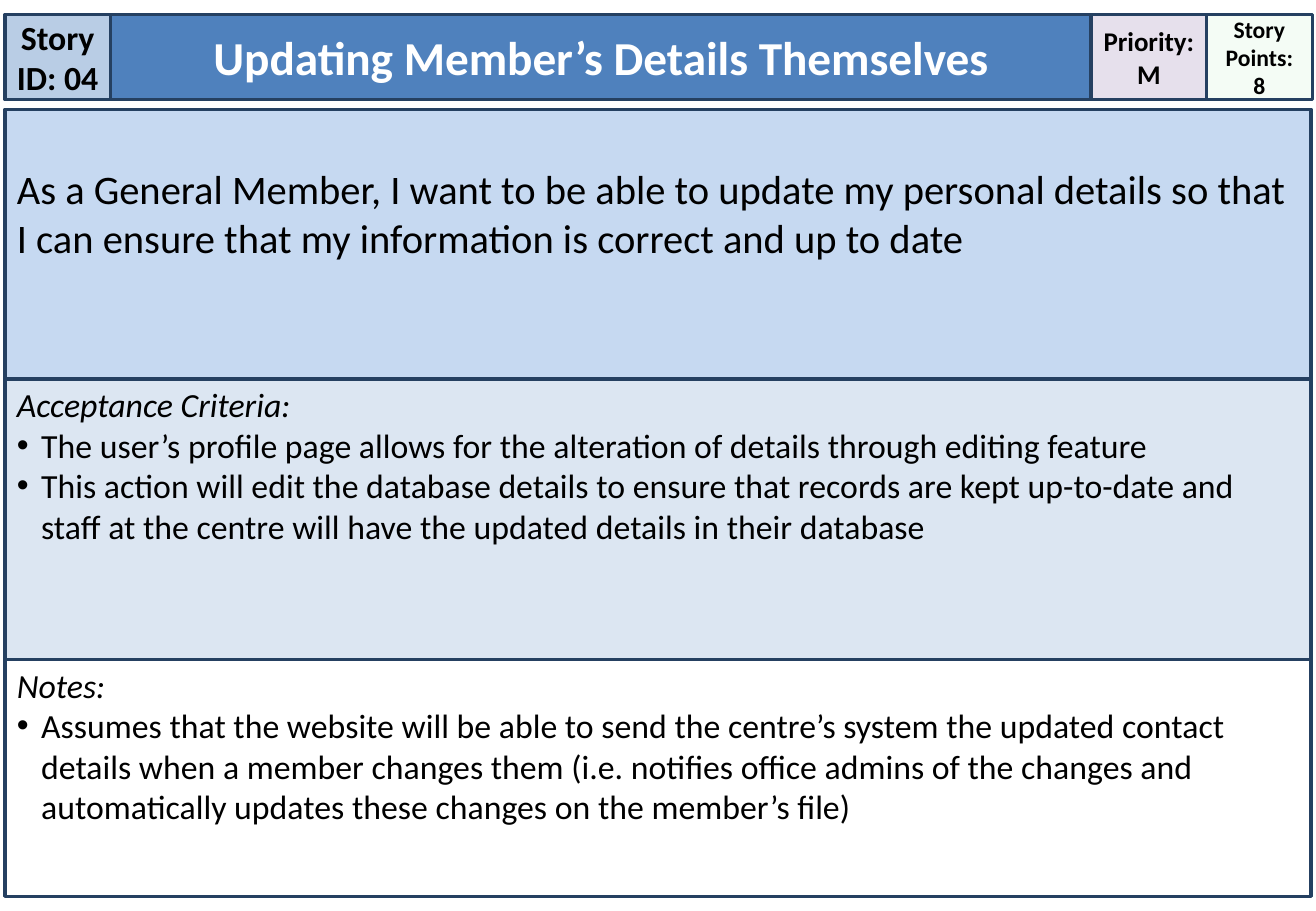
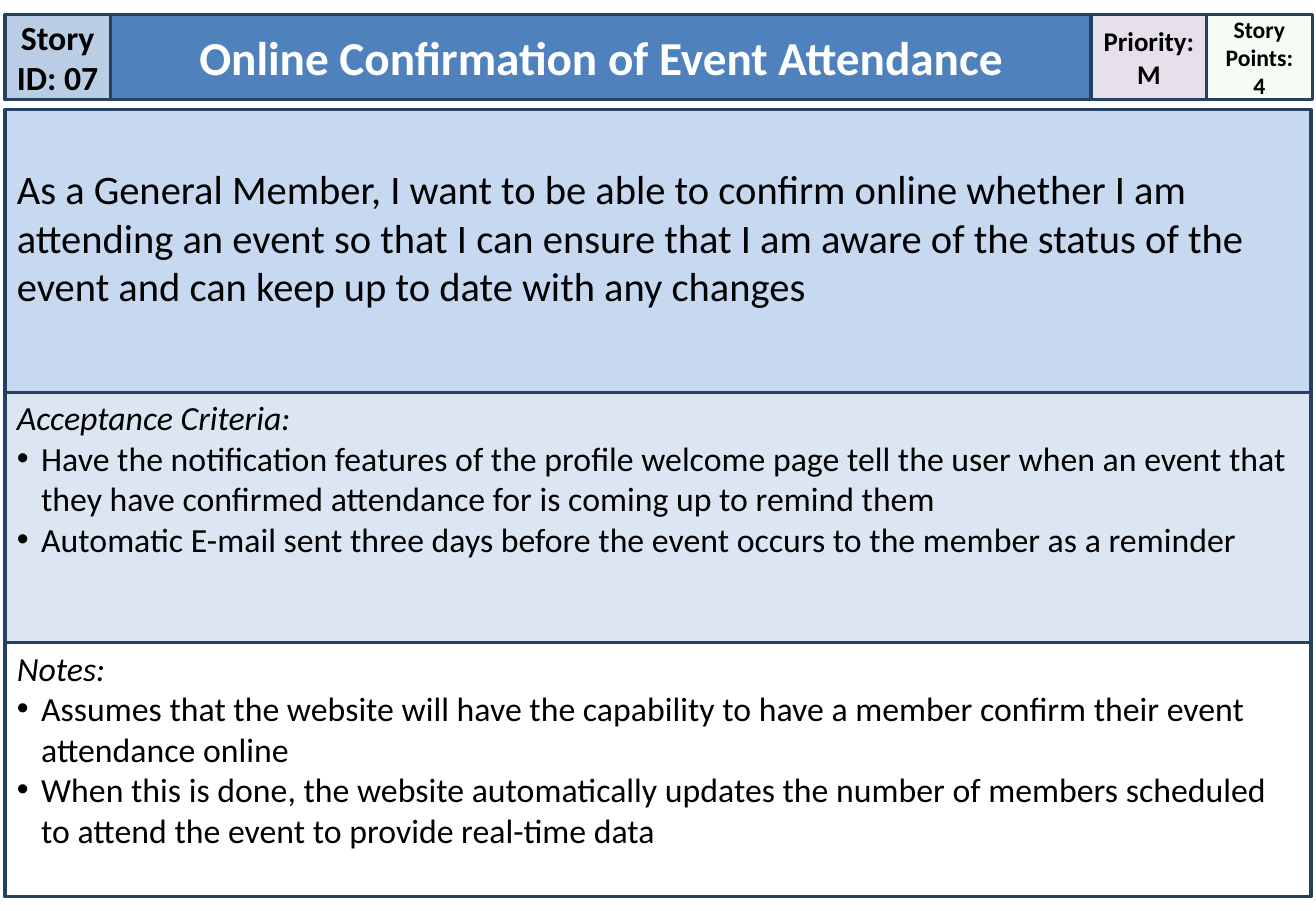
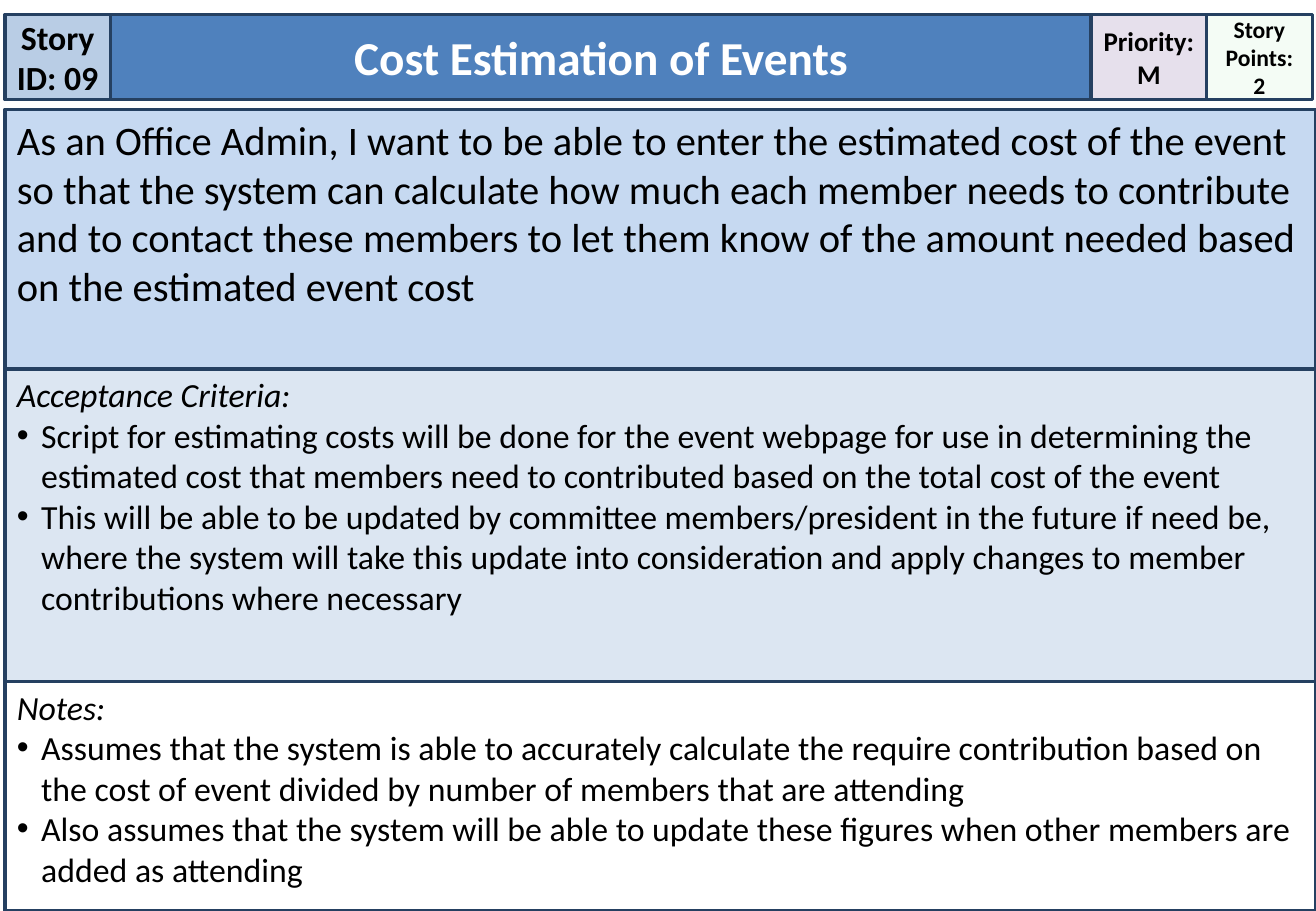
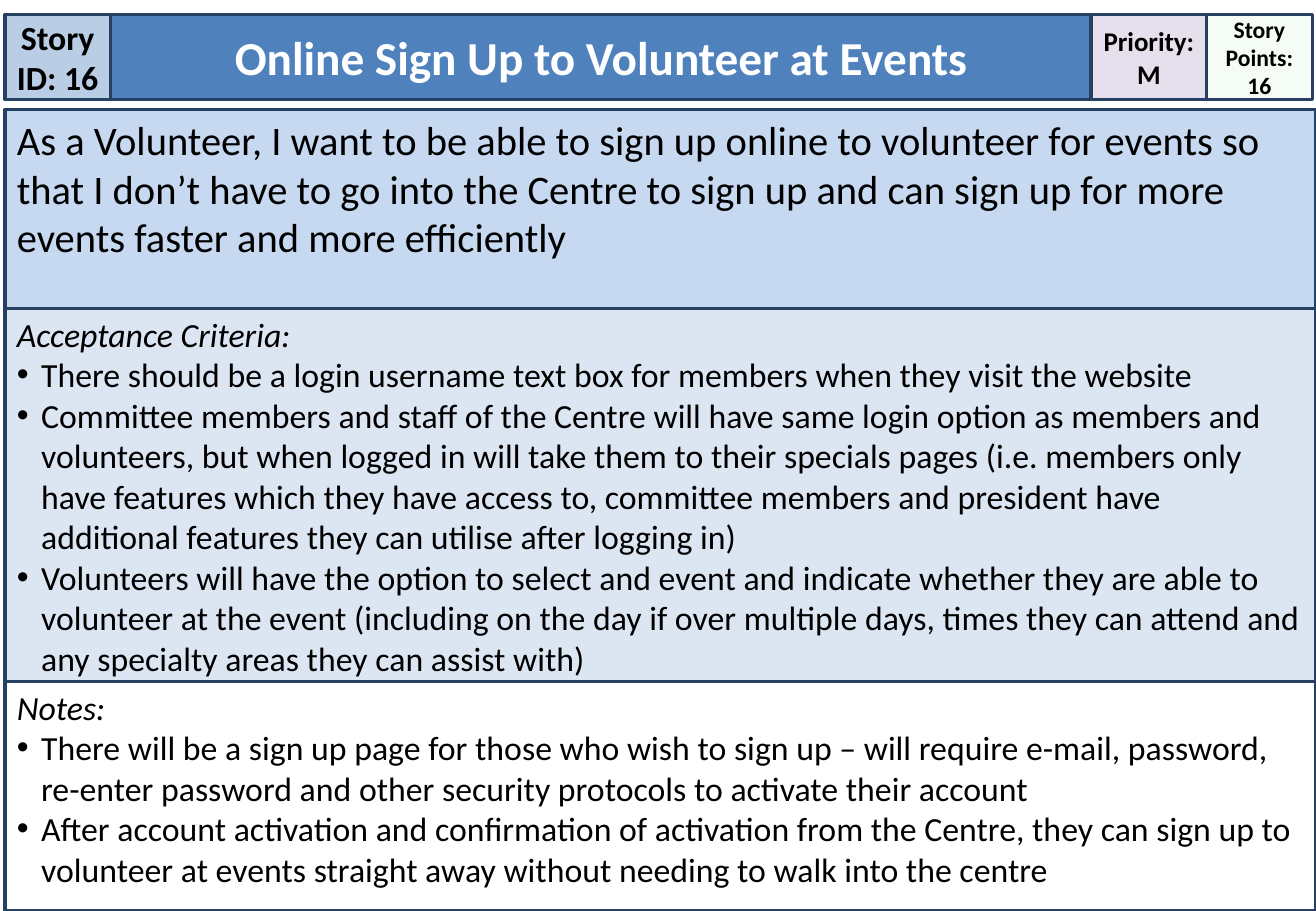
import dataclasses

import pptx
import pptx.dml.color
import pptx.enum.shapes
import pptx.enum.text
import pptx.oxml.ns
import pptx.util
from lxml import etree

Inches = pptx.util.Inches
Pt = pptx.util.Pt
RGBColor = pptx.dml.color.RGBColor
Align = pptx.enum.text.PP_ALIGN
Anchor = pptx.enum.text.MSO_ANCHOR
qn = pptx.oxml.ns.qn


@dataclasses.dataclass(frozen=True)
class Theme:
    font: str = "Calibri"
    text: str = "000000"
    title_text: str = "FFFFFF"
    outline: str = "254061"
    story_id: str = "B9CDE5"
    title: str = "4F81BD"
    priority: str = "E6E0EC"
    points: str = "CCF0CD"
    story: str = "C6D9F1"
    criteria: str = "DCE6F2"
    notes: str = "FFFFFF"
    title_size: int = 28
    story_size: int = 24
    body_size: int = 20
    priority_size: int = 16
    points_size: int = 14
    outline_width: int = 2
    points_opacity: int = 20


theme = Theme()

LEFT = 0.04
HEADER_EDGES = [LEFT, 0.91, 8.98, 9.93, 10.8]
HEADER_TOP, HEADER_HEIGHT = 0.12, 0.7
LABEL_INSETS = (0, 0.05, 0, 0.05)
TEXT_INSETS = (0.1, 0.05, 0.1, 0.05)
LOWERED_INSETS = (0.1, 0.45, 0.1, 0.05)
LIST_INSETS = (0.1, 0.04, 0.1, 0.05)
BULLET_INDENT = Inches(0.2)

stories = [
    {
        "id": "04",
        "title": "Updating Member’s Details Themselves",
        "points": "8",
        "right": 10.79,
        "edges": [0.9, 3.12, 5.43, 7.38],
        "story_insets": LOWERED_INSETS,
        "story": "As a General Member, I want to be able to update my personal details so that "
                 "I can ensure that my information is correct and up to date",
        "criteria": [
            "The user’s profile page allows for the alteration of details through editing feature",
            "This action will edit the database details to ensure that records are kept up-to-date "
            "and staff at the centre will have the updated details in their database",
        ],
        "notes": [
            "Assumes that the website will be able to send the centre’s system the updated contact "
            "details when a member changes them (i.e. notifies office admins of the changes and "
            "automatically updates these changes on the member’s file)",
        ],
    },
    {
        "id": "07",
        "title": "Online Confirmation of Event Attendance",
        "points": "4",
        "right": 10.79,
        "edges": [0.9, 3.23, 5.29, 7.38],
        "story_insets": LOWERED_INSETS,
        "story": "As a General Member, I want to be able to confirm online whether I am attending "
                 "an event so that I can ensure that I am aware of the status of the event and can "
                 "keep up to date with any changes",
        "criteria": [
            "Have the notification features of the profile welcome page tell the user when an event "
            "that they have confirmed attendance for is coming up to remind them",
            "Automatic E-mail sent three days before the event occurs to the member as a reminder",
        ],
        "notes": [
            "Assumes that the website will have the capability to have a member confirm their event "
            "attendance online",
            "When this is done, the website automatically updates the number of members scheduled "
            "to attend the event to provide real-time data",
        ],
    },
    {
        "id": "09",
        "title": "Cost Estimation of Events",
        "points": "2",
        "right": 10.83,
        "edges": [0.9, 3.04, 5.61, 7.5],
        "story_insets": TEXT_INSETS,
        "story": "As an Office Admin, I want to be able to enter the estimated cost of the event so "
                 "that the system can calculate how much each member needs to contribute and to "
                 "contact these members to let them know of the amount needed based on the "
                 "estimated event cost",
        "criteria": [
            "Script for estimating costs will be done for the event webpage for use in determining "
            "the estimated cost that members need to contributed based on the total cost of the event",
            "This will be able to be updated by committee members/president in the future if need "
            "be, where the system will take this update into consideration and apply changes to "
            "member contributions where necessary",
        ],
        "notes": [
            "Assumes that the system is able to accurately calculate the require contribution based "
            "on the cost of event divided by number of members that are attending",
            "Also assumes that the system will be able to update these figures when other members "
            "are added as attending",
        ],
    },
    {
        "id": "16",
        "title": "Online Sign Up to Volunteer at Events",
        "points": "16",
        "right": 10.83,
        "edges": [0.9, 2.54, 5.61, 7.5],
        "story_insets": TEXT_INSETS,
        "story": "As a Volunteer, I want to be able to sign up online to volunteer for events so "
                 "that I don’t have to go into the Centre to sign up and can sign up for more "
                 "events faster and more efficiently",
        "criteria": [
            "There should be a login username text box for members when they visit the website",
            "Committee members and staff of the Centre will have same login option as members and "
            "volunteers, but when logged in will take them to their specials pages (i.e. members "
            "only have features which they have access to, committee members and president have "
            "additional features they can utilise after logging in)",
            "Volunteers will have the option to select and event and indicate whether they are able "
            "to volunteer at the event (including on the day if over multiple days, times they can "
            "attend and any specialty areas they can assist with)",
        ],
        "notes": [
            "There will be a sign up page for those who wish to sign up – will require e-mail, "
            "password, re-enter password and other security protocols to activate their account",
            "After account activation and confirmation of activation from the Centre, they can sign "
            "up to volunteer at events straight away without needing to walk into the centre",
        ],
    },
]


def format_box(shape, box, fill, insets, anchor, wrap=True):
    left, top, right, bottom = box
    place = {"left": left, "top": top, "width": right - left, "height": bottom - top}
    for name, value in place.items():
        setattr(shape, name, Inches(round(value, 2)))
    shape.shadow.inherit = False
    shape.fill.solid()
    shape.fill.fore_color.rgb = RGBColor.from_string(fill)
    shape.line.color.rgb = RGBColor.from_string(theme.outline)
    shape.line.width = Pt(theme.outline_width)
    frame = shape.text_frame
    frame.auto_size = pptx.enum.text.MSO_AUTO_SIZE.NONE
    frame.word_wrap = wrap
    frame.vertical_anchor = anchor
    for side, inset in zip(("left", "top", "right", "bottom"), insets):
        setattr(frame, f"margin_{side}", Inches(inset))


def write_lines(shape, lines, size, color=theme.text, align=Align.LEFT, bold=False, bulleted=False):
    for index, line in enumerate(lines):
        frame = shape.text_frame
        paragraph = frame.add_paragraph() if index else frame.paragraphs[0]
        paragraph.alignment = align
        run = paragraph.add_run()
        run.text = line
        run.font.color.rgb = RGBColor.from_string(color)
        font_format = {"name": theme.font, "size": Pt(size), "bold": bold,
                       "italic": bulleted and index == 0}
        for name, value in font_format.items():
            setattr(run.font, name, value)
        if bulleted and index:
            properties = paragraph._p.get_or_add_pPr()
            properties.set("marL", str(BULLET_INDENT))
            properties.set("indent", str(-BULLET_INDENT))
            etree.SubElement(properties, qn("a:buFont")).set("typeface", "Arial")
            etree.SubElement(properties, qn("a:buChar")).set("char", "•")


presentation = pptx.Presentation()
presentation.slide_width = Inches(10.83)
presentation.slide_height = Inches(7.5)
title_only = presentation.slide_layouts[5]
rectangle = pptx.enum.shapes.MSO_SHAPE.RECTANGLE

for story in stories:
    slide = presentation.slides.add_slide(title_only)

    header = [
        ("story_id", [f"Story ID: {story['id']}"], theme.body_size, LABEL_INSETS),
        ("title", [story["title"]], theme.title_size, TEXT_INSETS),
        ("priority", ["Priority:", "M"], theme.priority_size, LABEL_INSETS),
        ("points", ["Story Points:", story["points"]], theme.points_size, LABEL_INSETS),
    ]
    for (name, lines, size, insets), left, right in zip(header, HEADER_EDGES, HEADER_EDGES[1:]):
        is_title = name == "title"
        shape = slide.shapes.title if is_title else slide.shapes.add_shape(rectangle, 0, 0, 0, 0)
        box = (left, HEADER_TOP, right, HEADER_TOP + HEADER_HEIGHT)
        format_box(shape, box, getattr(theme, name), insets, Anchor.MIDDLE, name != "priority")
        color = theme.title_text if is_title else theme.text
        write_lines(shape, lines, size, color, Align.CENTER, bold=True)
        if name == "points":
            fill_color = shape._element.spPr.find(qn("a:solidFill")).find(qn("a:srgbClr"))
            etree.SubElement(fill_color, qn("a:alpha")).set("val", str(theme.points_opacity * 1000))

    panels = [
        ("story", [story["story"]], theme.story_size, story["story_insets"]),
        ("criteria", ["Acceptance Criteria:", *story["criteria"]], theme.body_size, LIST_INSETS),
        ("notes", ["Notes:", *story["notes"]], theme.body_size, LIST_INSETS),
    ]
    edges = story["edges"]
    for (name, lines, size, insets), top, bottom in zip(panels, edges, edges[1:]):
        shape = slide.shapes.add_shape(rectangle, 0, 0, 0, 0)
        box = (LEFT, top, story["right"], bottom)
        format_box(shape, box, getattr(theme, name), insets, Anchor.TOP)
        write_lines(shape, lines, size, bulleted=name != "story")

presentation.save("out.pptx")
